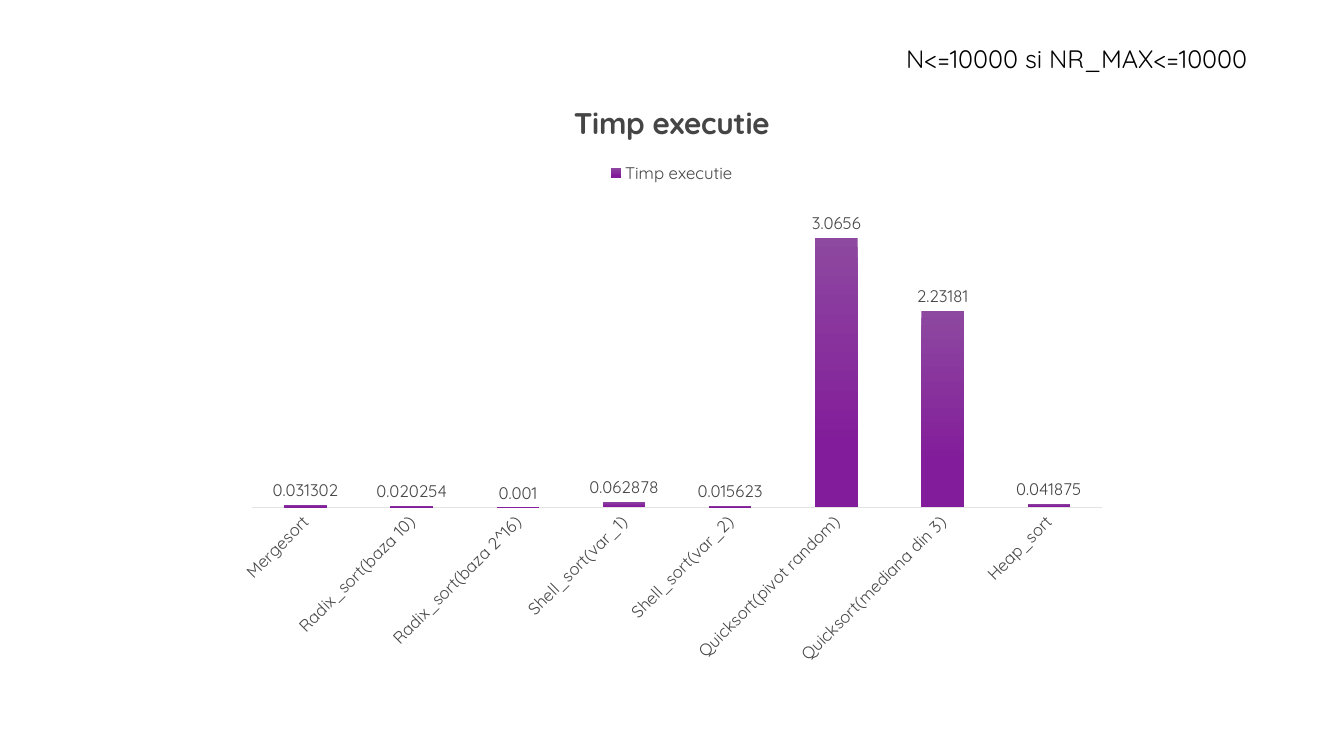
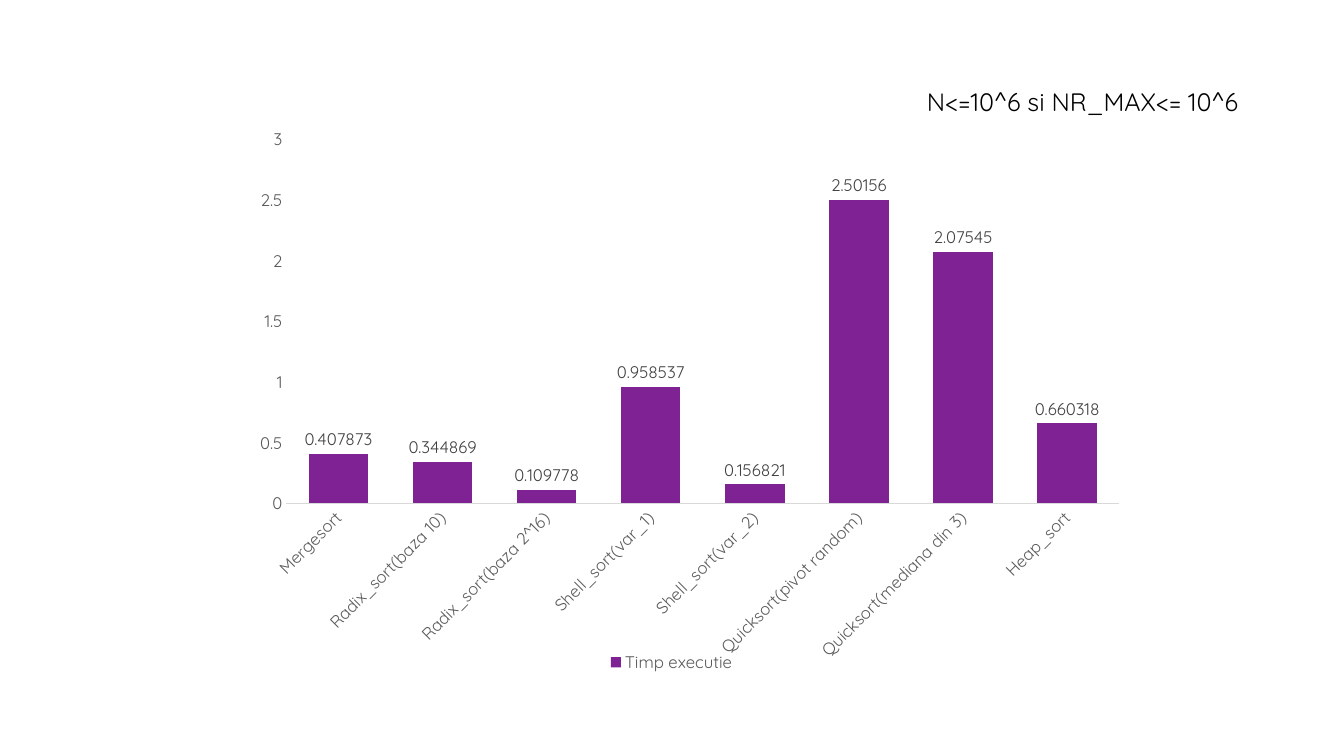
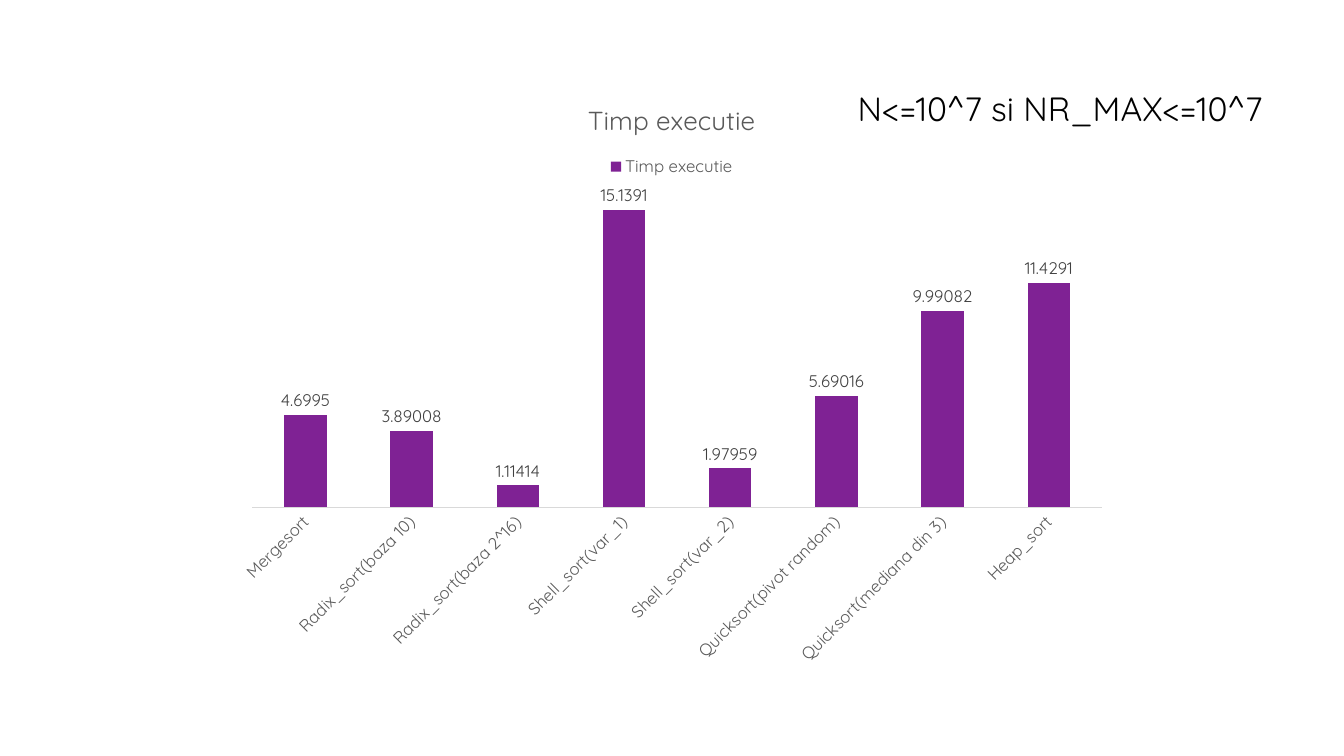
from lxml import etree
from pptx import Presentation
from pptx import util as u
from pptx.chart import data as chart_data
from pptx.dml import color
from pptx.enum import chart as ch
from pptx.enum import text
from pptx.oxml import ns, parse_xml

FONT = "Quicksand"
COLORS = {
    "caption": "000000", "bar": "7F2294", "bar_top": "8D48A0", "bar_base": "831C9A",
    "dark": "454545", "grey": "595959", "value": "404040",
    "line": "D9D9D9", "pale_line": "E3E3E3",
}
CHART_BOX = (16.65, 10.48, 66.67, 79.05)
SERIES = "Timp executie"
SORTS = ("Mergesort", "Radix_sort(baza 10)", "Radix_sort(baza 2^16)",
         "Shell_sort(var_1)", "Shell_sort(var_2)", "Quicksort(pivot random)",
         "Quicksort(mediana din 3)", "Heap_sort")

PLAIN = dict(ink="grey", value_ink="value", line="line", gap=150, overlap=-25,
             title_size=None, title_bold=False, gradient=False, plot_area=None,
             caption_size=18)
SLIDES = (
    dict(PLAIN, caption="N<=10000 si NR_MAX<=10000", caption_box=(66.67, 5.07, 30, 5.33),
         times=(0.031302, 0.020254, 0.001, 0.062878, 0.015623, 3.0656, 2.23181, 0.041875),
         ink="dark", value_ink="dark", line="pale_line",
         title_size=21.3, title_bold=True, gradient=True),
    dict(PLAIN, caption="N<=10^6 si NR_MAX<= 10^6", caption_box=(68.22, 10.75, 27, 5.33),
         times=(0.407873, 0.344869, 0.109778, 0.958537, 0.156821, 2.50156, 2.07545, 0.660318),
         gap=75, overlap=0, plot_area=dict(x=0.07, y=0.101, w=0.93, h=0.609)),
    dict(PLAIN, caption="N<=10^7 si NR_MAX<=10^7", caption_box=(63.07, 10.93, 34.36, 6.67),
         times=(4.6995, 3.89008, 1.11414, 15.1391, 1.97959, 5.69016, 9.99082, 11.4291),
         title_size=18.6, caption_size=24),
)


def rgb(name):
    """Look up a palette colour."""
    return color.RGBColor.from_string(COLORS[name])


def place(prs, box):
    """Turn percentages of the slide into left, top, width and height."""
    sides = (prs.slide_width, prs.slide_height) * 2
    return [u.Emu(round(side * share / 100)) for side, share in zip(sides, box)]


def style_font(font, size, ink, bold=False):
    """Give a font its face, size, colour and weight."""
    font.name, font.size, font.bold = FONT, u.Pt(size), bold
    font.color.rgb = rgb(ink)


def add_caption(prs, slide, look):
    """Move and fill the title placeholder with the input limits."""
    caption = slide.shapes.title
    caption.left, caption.top, caption.width, caption.height = place(prs, look["caption_box"])
    frame = caption.text_frame
    frame.word_wrap = True
    frame.auto_size = text.MSO_AUTO_SIZE.SHAPE_TO_FIT_TEXT
    frame.vertical_anchor = text.MSO_ANCHOR.TOP
    paragraph = frame.paragraphs[0]
    paragraph.alignment = text.PP_ALIGN.LEFT
    run = paragraph.add_run()
    run.text = look["caption"]
    style_font(run.font, look["caption_size"], "caption")


def clear_background(chart):
    """Make the chart area transparent and borderless."""
    clear = parse_xml(f'<c:spPr {ns.nsdecls("c", "a")}><a:noFill/>'
                      '<a:ln><a:noFill/></a:ln></c:spPr>')
    chart._chartSpace.find(ns.qn("c:txPr")).addprevious(clear)


def set_plot_area(chart, shares):
    """Fix the inner plot area as shares of the chart."""
    area = chart._chartSpace.chart.plotArea
    for layout in area.findall(ns.qn("c:layout")):
        area.remove(layout)
    layout = etree.Element(ns.qn("c:layout"))
    manual = etree.SubElement(layout, ns.qn("c:manualLayout"))
    settings = dict(layoutTarget="inner", xMode="edge", yMode="edge", **shares)
    for tag, value in settings.items():
        etree.SubElement(manual, ns.qn(f"c:{tag}")).set("val", str(value))
    area.insert(0, layout)


def style_axes(chart, look):
    """Format the slanted sort names and the time scale."""
    sorts, times = chart.category_axis, chart.value_axis
    for axis in (sorts, times):
        axis.has_major_gridlines = False
        axis.major_tick_mark = axis.minor_tick_mark = ch.XL_TICK_MARK.NONE
        style_font(axis.tick_labels.font, 12, look["ink"])
    sorts.format.line.color.rgb = rgb(look["line"])
    sorts.format.line.width = u.Pt(0.75)
    sorts._element.find(ns.qn("c:txPr")).find(ns.qn("a:bodyPr")).set("rot", "-2700000")
    times.format.line.fill.background()
    times.visible = look["plot_area"] is not None


def style_bars(chart, look):
    """Format the bars and their value labels."""
    plot = chart.plots[0]
    plot.vary_by_categories = False
    plot.gap_width, plot.overlap = look["gap"], look["overlap"]
    bars = plot.series[0]
    fill = bars.format.fill
    if look["gradient"]:
        fill.gradient()
        fill.gradient_angle = 270
        for stop, position, ink in zip(fill.gradient_stops, (0, 0.78), ("bar_top", "bar_base")):
            stop.position, stop.color.rgb = position, rgb(ink)
    else:
        fill.solid()
        fill.fore_color.rgb = rgb("bar")
    labels = bars.data_labels
    labels.show_value = True
    labels.position = ch.XL_LABEL_POSITION.OUTSIDE_END
    style_font(labels.font, 12, look["value_ink"])


def add_times_chart(prs, slide, look):
    """Add the column chart of run times."""
    figures = chart_data.CategoryChartData()
    figures.categories = SORTS
    figures.add_series(SERIES, look["times"])
    chart = slide.shapes.add_chart(ch.XL_CHART_TYPE.COLUMN_CLUSTERED,
                                   *place(prs, CHART_BOX), figures).chart
    style_font(chart.font, 10, "caption")
    clear_background(chart)
    chart.has_title = look["title_size"] is not None
    if chart.has_title:
        run = chart.chart_title.text_frame.paragraphs[0].add_run()
        run.text = SERIES
        style_font(run.font, look["title_size"], look["ink"], look["title_bold"])
    chart.has_legend = True
    position = ch.XL_LEGEND_POSITION
    chart.legend.position = position.TOP if chart.has_title else position.BOTTOM
    chart.legend.include_in_layout = False
    style_font(chart.legend.font, 12, look["ink"])
    style_axes(chart, look)
    style_bars(chart, look)
    if look["plot_area"]:
        set_plot_area(chart, look["plot_area"])


def main():
    """Build one run-time slide for each input limit."""
    prs = Presentation()
    prs.slide_width, prs.slide_height = u.Inches(13.33), u.Inches(7.5)
    for look in SLIDES:
        slide = prs.slides.add_slide(prs.slide_layouts.get_by_name("Title Only"))
        add_times_chart(prs, slide, look)
        add_caption(prs, slide, look)
    prs.save("out.pptx")


if __name__ == "__main__":
    main()
